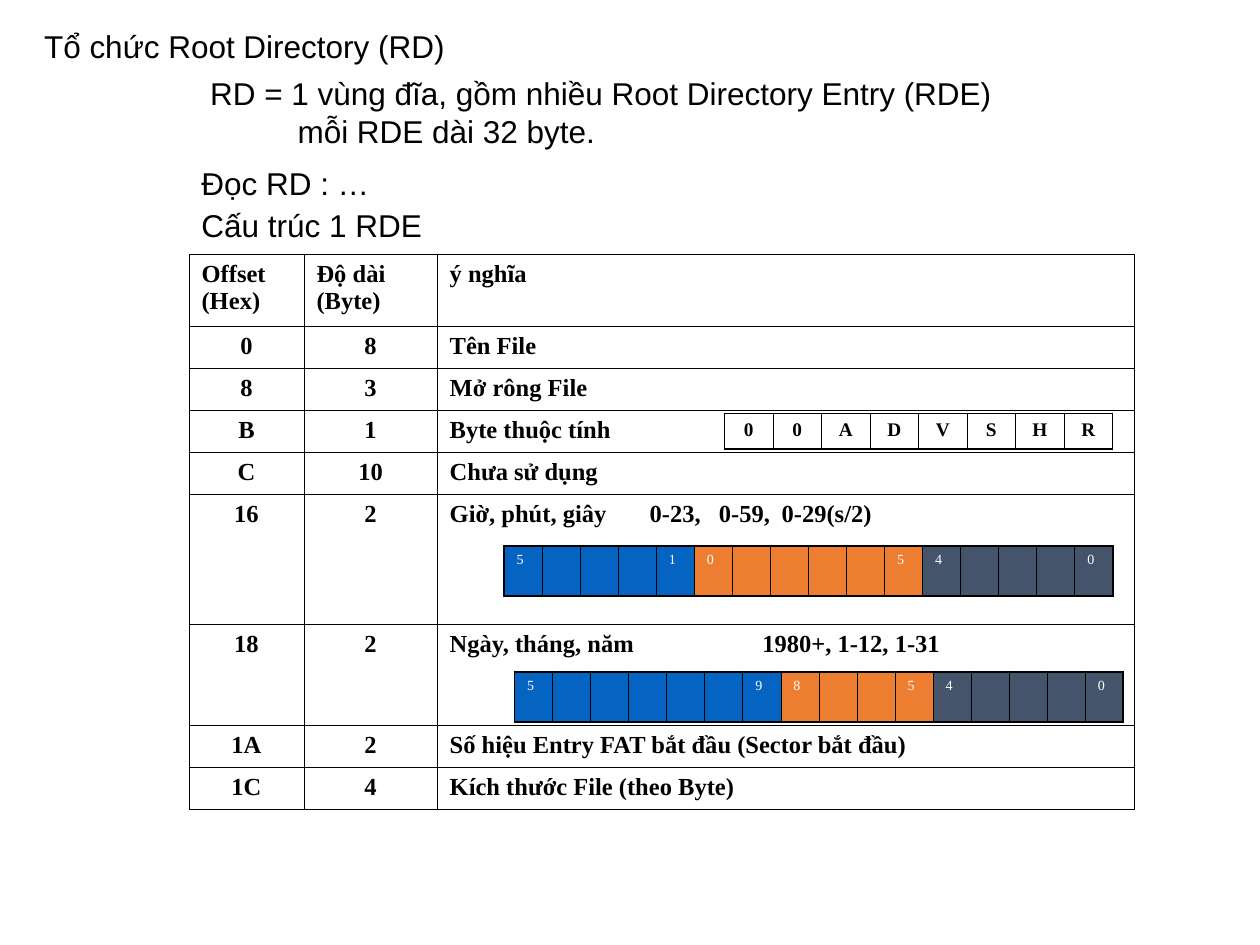
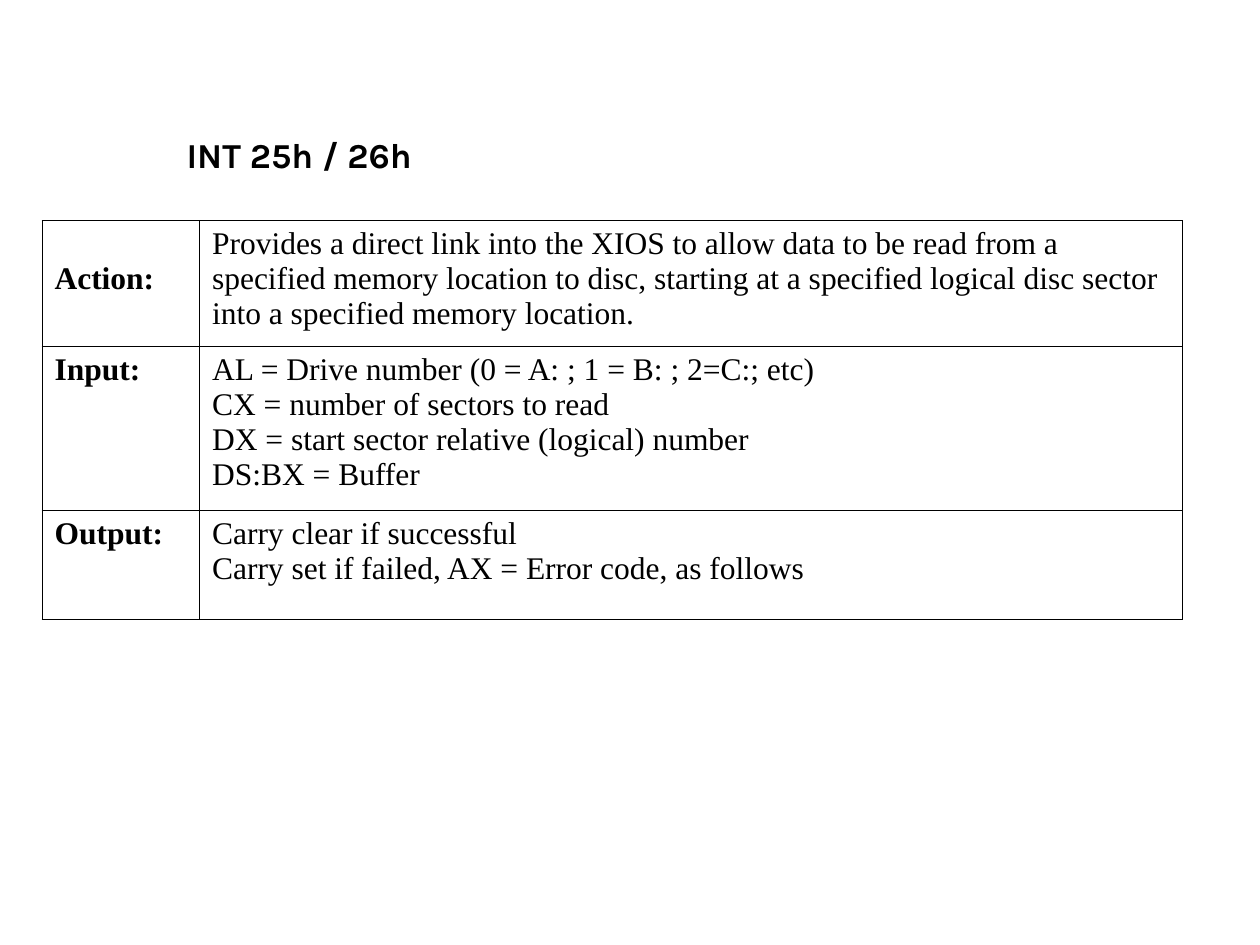
from lxml import etree
from pptx import Presentation
from pptx.dml.color import RGBColor
from pptx.enum.text import MSO_ANCHOR, MSO_AUTO_SIZE, PP_ALIGN
from pptx.oxml.ns import qn
from pptx.util import Pt

LEFT, MID, JUST = PP_ALIGN.LEFT, PP_ALIGN.CENTER, PP_ALIGN.JUSTIFY
TOP, CENTER = MSO_ANCHOR.TOP, MSO_ANCHOR.MIDDLE
GROW = MSO_AUTO_SIZE.SHAPE_TO_FIT_TEXT

BLACK = RGBColor(0x00, 0x00, 0x00)
WHITE = RGBColor(0xFF, 0xFF, 0xFF)
BLUE = RGBColor(0x05, 0x63, 0xC1)
ORANGE = RGBColor(0xED, 0x7D, 0x31)
SLATE = RGBColor(0x44, 0x54, 0x6A)
SANS, SERIF, HEAD = "Arial", "Times New Roman", "Karla"
THIN, THICK = 0.45, 1.08

# Slide 1: root directory
ROOT_TITLE = "Tổ chức Root Directory (RD)"
ROOT_NOTES = [  # left, top, width, height, lines, tab stops
    (113, 38.9, 468, 50.4, ["RD = 1 vùng đĩa, gồm nhiều Root Directory Entry (RDE)",
                            "\tmỗi RDE dài 32 byte."], (50,)),
    (108, 90, 110.2, 28.8, ["Đọc RD : …"], ()),
    (108, 114, 140.4, 28.8, ["Cấu trúc 1 RDE"], ()),
]
ENTRY_HEAD = [["Offset", "(Hex)"], ["Độ dài", "(Byte)"], ["ý nghĩa"]]
ENTRIES = [  # offset, length, meaning, row height, tab stops
    ("0", "8", "Tên File", 24.15, ()),
    ("8", "3", "Mở rông File", 24.15, ()),
    ("B", "1", "Byte thuộc tính", 24.15, ()),
    ("C", "10", "Chưa sử dụng", 24.15, ()),
    ("16", "2", "Giờ, phút, giây\t0-23,\t0-59,\t0-29(s/2)", 74.2, (114.3, 153.8, 189.7)),
    ("18", "2", "Ngày, tháng, năm\t1980+, 1-12, 1-31", 57.6, (178.6,)),
    ("1A", "2", "Số hiệu Entry FAT bắt đầu (Sector bắt đầu)", 24.15, ()),
    ("1C", "4", "Kích thước File (theo Byte)", 24.15, ()),
]
FLAGS = "00ADVSHR"
BIT_ROWS = [  # left, top, fields as (first bit, last bit, count, fill)
    (288, 311.8, [("5", "1", 5, BLUE), ("0", "5", 6, ORANGE), ("4", "0", 5, SLATE)]),
    (294, 383.8, [("5", "9", 7, BLUE), ("8", "5", 4, ORANGE), ("4", "0", 5, SLATE)]),
]

# Slide 2: disc interrupts
INT_TITLE = "INT 25h / 26h"
INT_ROWS = [  # label, text, row height, top margin of the label
    ("Action:", "Provides a direct link into the XIOS to allow data to be read from a "
     "specified memory location to disc, starting at a specified logical disc sector "
     "into a specified memory location.", 72, 23.3),
    ("Input:", "AL = Drive number (0 = A: ; 1 = B: ; 2=C:; etc)\n"
     "CX = number of sectors to read\n"
     "DX = start sector relative (logical) number\n"
     "DS:BX = Buffer", 93.6, 3.6),
    ("Output:", "Carry clear if successful\n"
     "Carry set if failed, AX = Error code, as follows", 62, 3.6),
]


def write(frame, lines, size=18, font=SANS, color=BLACK, bold=False,
          align=LEFT, before=None, tabs=()):
    """Fill a text frame, one paragraph a line."""
    for i, line in enumerate(lines):
        para = frame.add_paragraph() if i else frame.paragraphs[0]
        para.text = line
        para.alignment = align
        if before:
            para.space_before = Pt(before)
        if tabs:
            stops = etree.SubElement(para._p.get_or_add_pPr(), qn("a:tabLst"))
            for pos in tabs:
                etree.SubElement(stops, qn("a:tab"), pos=str(Pt(pos)), algn="l")
        for run in para.runs:
            run.font.size, run.font.name = Pt(size), font
            run.font.bold, run.font.color.rgb = bold, color


def place(shape, at, lines, anchor=TOP, **style):
    shape.left, shape.top, shape.width, shape.height = map(Pt, at)
    frame = shape.text_frame
    frame.word_wrap, frame.auto_size = False, GROW
    frame.vertical_anchor = anchor
    write(frame, lines, **style)


def note(slide, at, lines, **style):
    place(slide.shapes.add_textbox(*map(Pt, at)), at, lines, **style)


def border(cell, **widths):
    props = cell._tc.get_or_add_tcPr()
    for side in "LRTB":
        line = etree.SubElement(props, qn("a:ln" + side), w=str(Pt(widths[side])))
        fill = etree.SubElement(line, qn("a:solidFill"))
        etree.SubElement(fill, qn("a:srgbClr"), val=str(BLACK))


def grid(slide, left, top, cols, rows, cells, edge=THIN, **style):
    """Add a table; each cell is a dict of lines, fill, head margin and text format."""
    shape = slide.shapes.add_table(len(rows), len(cols), Pt(left), Pt(top),
                                   Pt(sum(cols)), Pt(sum(rows)))
    table = shape.table
    table.first_row = table.horz_banding = False
    for col, width in zip(table.columns, cols):
        col.width = Pt(width)
    for row, height in zip(table.rows, rows):
        row.height = Pt(height)
    for r, line in enumerate(cells):
        for c, item in enumerate(line):
            form = {**style, **item}
            lines, fill = form.pop("lines"), form.pop("fill", None)
            cell = table.cell(r, c)
            cell.margin_top = Pt(form.pop("head", 3.6))
            border(cell, L=THIN if c else edge, T=THIN if r else edge,
                   R=edge if c == len(cols) - 1 else THIN,
                   B=edge if r == len(rows) - 1 else THIN)
            if fill:
                cell.fill.solid()
                cell.fill.fore_color.rgb = fill
            else:
                cell.fill.background()
            write(cell.text_frame, lines, **form)


def bits(fields):
    """Turn bit fields into a row of cells labelled at both ends of each field."""
    return [dict(lines=[first if i == 0 else last] if i in (0, count - 1) else [], fill=fill)
            for first, last, count, fill in fields for i in range(count)]


def root(deck):
    slide = deck.slides.add_slide(deck.slide_layouts[5])
    place(slide.shapes.title, (18, 11.8, 248.4, 28.8), [ROOT_TITLE], anchor=CENTER)
    for *at, lines, tabs in ROOT_NOTES:
        note(slide, at, lines, tabs=tabs)
    cells = [[dict(lines=lines) for lines in ENTRY_HEAD]]
    for start, size, text, _, tabs in ENTRIES:
        cells.append([dict(lines=[start], align=MID), dict(lines=[size], align=MID),
                      dict(lines=[text], tabs=tabs)])
    grid(slide, 108, 145.4, [65.7, 76.1, 398.2], [40.4] + [entry[3] for entry in ENTRIES],
         cells, size=14, font=SERIF, bold=True, align=JUST)
    grid(slide, 414, 236.2, [27.75] * len(FLAGS), [20.2],
         [[dict(lines=[flag]) for flag in FLAGS]], edge=THICK,
         size=11, font=SERIF, bold=True, align=MID, before=2.8)
    for left, top, fields in BIT_ROWS:
        row = bits(fields)
        grid(slide, left, top, [21.75] * len(row), [22.3], [row], edge=THICK,
             size=8, font=SERIF, color=WHITE, before=2)


def ints(deck):
    slide = deck.slides.add_slide(deck.slide_layouts[5])
    place(slide.shapes.title, (99.4, 72.7, 223.9, 31.7), [INT_TITLE],
          size=20, font=HEAD, bold=True)
    cells = [[dict(lines=[label], bold=True, head=head), dict(lines=[text])]
             for label, text, _, head in INT_ROWS]
    grid(slide, 24, 126, [90, 561.6], [row[2] for row in INT_ROWS], cells, font=SERIF)


def main():
    deck = Presentation()
    deck.slide_width, deck.slide_height = Pt(720), Pt(540)
    root(deck)
    ints(deck)
    deck.save("out.pptx")


if __name__ == "__main__":
    main()
